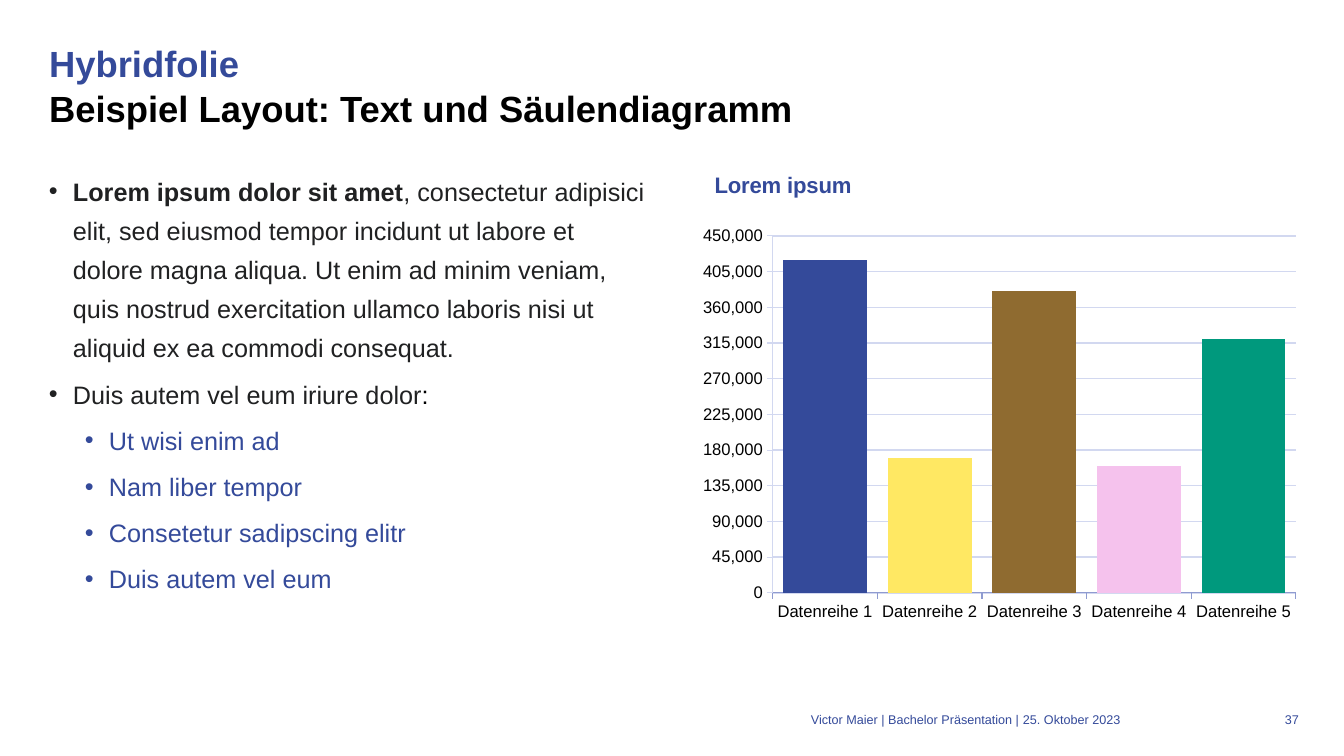
from lxml import etree
from pptx import Presentation
from pptx import util as u
from pptx.chart.data import CategoryChartData
from pptx.dml.color import RGBColor
from pptx.enum import chart as ch, text
from pptx.oxml import parse_xml
from pptx.oxml.ns import nsdecls, qn

BLUE, BLACK, INK, PALE, AXIS = "344A9A", "000000", "202122", "D2D8F0", "8F9BD0"


def color(value):
    return RGBColor.from_string(value)


def px(value):
    return u.Emu(round(value * 914400 / 100.8))


def apply(obj, values):
    for name, value in values.items():
        setattr(obj, name, value)


def layout_xml(**values):
    """Manual chart layout measured from the top left edge."""
    parts = "".join(f'<c:{k} val="{v}"/>' for k, v in values.items())
    return parse_xml(f'<c:layout {nsdecls("c")}><c:manualLayout>{parts}'
                     '</c:manualLayout></c:layout>')


class SlideBuilder:
    font_name = "Arial"
    frame = dict(word_wrap=True, auto_size=text.MSO_AUTO_SIZE.NONE,
                 vertical_anchor=text.MSO_ANCHOR.TOP, margin_left=0,
                 margin_right=0, margin_top=0, margin_bottom=0)

    def __init__(self, prs):
        self.slide = prs.slides.add_slide(prs.slide_layouts[5])

    def font(self, font, size, fill, bold=False):
        apply(font, dict(name=self.font_name, size=u.Pt(size), bold=bold))
        font.color.rgb = color(fill)

    def run(self, p, words, size, fill, bold=False):
        r = p.add_run()
        r.text = words
        self.font(r.font, size, fill, bold)

    def place(self, sp, box):
        apply(sp, dict(zip(("left", "top", "width", "height"), map(px, box))))
        apply(sp.text_frame, self.frame)
        return sp.text_frame

    def text_box(self, box):
        return self.place(self.slide.shapes.add_textbox(0, 0, 0, 0), box)

    def title(self, box, lines):
        p = self.place(self.slide.shapes.title, box).paragraphs[0]
        apply(p, dict(alignment=text.PP_ALIGN.LEFT, line_spacing=u.Pt(32)))
        for i, (words, fill) in enumerate(lines):
            if i:
                p.add_line_break()
            self.run(p, words, 26, fill, True)

    def bullets(self, box, items):
        tf = self.text_box(box)
        for i, (level, runs) in enumerate(items):
            p = tf.paragraphs[0] if i == 0 else tf.add_paragraph()
            apply(p, dict(level=level, line_spacing=u.Pt(28),
                          space_before=u.Pt(5 if i else 0)))
            pPr = p._p.get_or_add_pPr()
            pPr.set("marL", str(px(24 + 36 * level)))
            pPr.set("indent", str(-px(24)))
            etree.SubElement(pPr, qn("a:buFont")).set("typeface", self.font_name)
            etree.SubElement(pPr, qn("a:buChar")).set("char", "•")
            for words, fill, bold in runs:
                self.run(p, words, 18, fill, bold)

    def footer(self, box, words, align, inset=0):
        tf = self.text_box(box)
        tf.margin_left = px(inset)
        p = tf.paragraphs[0]
        p.alignment = align
        self.run(p, words, 9, BLUE)

    def column_chart(self, box, plot_box, title, cats, values, fills):
        data = CategoryChartData(number_format="General")
        data.categories = cats
        data.add_series("Series 1", values)
        chart = self.slide.shapes.add_chart(
            ch.XL_CHART_TYPE.COLUMN_STACKED, *map(px, box), data).chart
        self.font(chart.font, 12, BLUE)
        chart.has_legend = False

        # Title and plot area positions
        chart.has_title = True
        tf = chart.chart_title.text_frame
        self.run(tf.paragraphs[0], title, 16, BLUE, True)
        title_xml = chart.chart_title._element
        for old in title_xml.findall(qn("c:layout")):
            title_xml.remove(old)
        title_xml.find(qn("c:tx")).addnext(
            layout_xml(xMode="edge", yMode="edge", x=0, y=0))
        area = chart._chartSpace.chart.plotArea
        for old in area.findall(qn("c:layout")):
            area.remove(old)
        left, top, width, height = plot_box
        area.insert(0, layout_xml(
            layoutTarget="inner", xMode="edge", yMode="edge",
            x=left / box[2], y=top / box[3], w=width / box[2], h=height / box[3]))

        # Axes
        for axis, line in ((chart.category_axis, AXIS), (chart.value_axis, PALE)):
            axis.major_tick_mark = ch.XL_TICK_MARK.OUTSIDE
            self.font(axis.tick_labels.font, 12, BLACK)
            axis.format.line.color.rgb = color(line)
            axis.format.line.width = u.Pt(0.75)
        axis = chart.value_axis
        apply(axis, dict(minimum_scale=0, maximum_scale=450000, major_unit=45000,
                         has_major_gridlines=True))
        apply(axis.tick_labels, dict(number_format="#,##0",
                                     number_format_is_linked=False))
        grid = axis.major_gridlines.format.line
        grid.color.rgb = color(PALE)
        grid.width = u.Pt(1)

        # Columns
        plot = chart.plots[0]
        apply(plot, dict(gap_width=25, overlap=100, vary_by_categories=False))
        series = plot.series[0]
        series.format.fill.solid()
        series.format.fill.fore_color.rgb = color("A2ADEB")
        for i, fill in enumerate(fills):
            point = series.points[i].format.fill
            point.solid()
            point.fore_color.rgb = color(fill)


def main():
    prs = Presentation()
    apply(prs, dict(slide_width=px(1344), slide_height=px(756)))
    s = SlideBuilder(prs)

    # Heading
    s.title((49, 40, 1250, 107), [
        ("Hybridfolie", BLUE),
        ("Beispiel Layout: Text und Säulendiagramm", BLACK)])

    # Text column
    lorem = (", consectetur adipisici elit, sed eiusmod tempor incidunt ut labore "
             "et dolore magna aliqua. Ut enim ad minim veniam, quis nostrud "
             "exercitation ullamco laboris nisi ut aliquid ex ea commodi consequat.")
    points = ("Ut wisi enim ad", "Nam liber tempor",
              "Consetetur sadipscing elitr", "Duis autem vel eum")
    s.bullets((49, 167, 596, 516), [
        (0, [("Lorem ipsum dolor sit amet", INK, True), (lorem, INK, False)]),
        (0, [("Duis autem vel eum iriure dolor", INK, False), (":", BLACK, False)]),
        *((1, [(words, BLUE, False)]) for words in points)])

    # Chart
    s.column_chart((703, 167, 596, 476), (63, 69, 530, 357), "Lorem ipsum",
                   [f"Datenreihe {n}" for n in range(1, 6)],
                   (420000, 170000, 380000, 160000, 320000),
                   (BLUE, "FFE863", "8F6B30", "F5C2ED", "00997D"))

    # Footer
    left, right = text.PP_ALIGN.LEFT, text.PP_ALIGN.RIGHT
    s.footer((329, 712, 690, 20), "Victor Maier | Bachelor Präsentation |", right)
    s.footer((1019, 712, 158, 20), "25. Oktober 2023", left, inset=4)
    s.footer((1259, 712, 40, 20), "37", right)

    prs.save("out.pptx")


if __name__ == "__main__":
    main()
